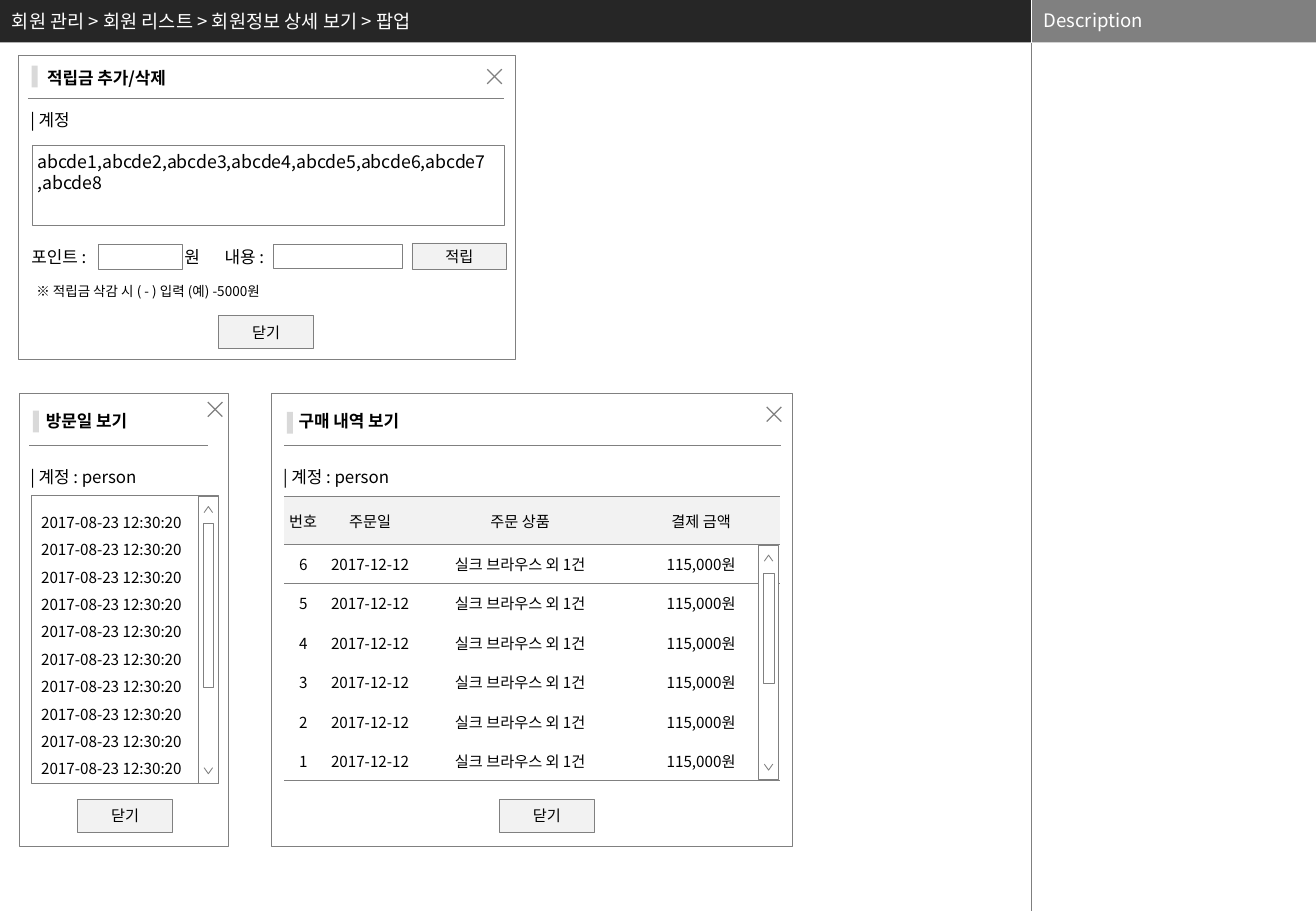
from lxml.etree import SubElement
from pptx import Presentation
from pptx.dml.color import RGBColor
from pptx.enum.shapes import MSO_CONNECTOR, MSO_SHAPE
from pptx.enum.text import MSO_ANCHOR, MSO_AUTO_SIZE, PP_ALIGN
from pptx.oxml.ns import qn
from pptx.util import Inches, Pt

FONT = "Noto Sans CJK KR"
BLACK, WHITE, GRAY, LIGHT, MARK = "000000", "FFFFFF", "808080", "F2F2F2", "D9D9D9"
NO_GRID_STYLE = "{2D5ABB26-0587-4C30-8999-92F81FD0307C}"

BREADCRUMB = "회원 관리 > 회원 리스트 > 회원정보 상세 보기 > 팝업"
SPLIT, HEADER_HEIGHT = 8.49, 0.35

# Each popup: frame, title with its box, title mark, rule, close cross, account label, close button
POPUPS = [
    dict(frame=(2.23, 3.24, 4.29, 3.73), title="구매 내역 보기", title_box=(2.36, 3.33, 1.14, 0.27),
         mark=(2.36, 3.39), rule=(2.34, 6.43, 3.67), cross=(6.31, 3.35),
         account="| 계정 : person", account_box=(2.33, 3.84, 1.15, 0.17), button=(4.11, 6.58)),
    dict(frame=(0.15, 0.46, 4.09, 2.5), title="적립금 추가/삭제", title_box=(0.29, 0.51, 1.29, 0.27),
         mark=(0.26, 0.54), rule=(0.23, 4.15, 0.81), cross=(4.01, 0.57),
         account="| 계정", account_box=(0.25, 0.9, 0.38, 0.17), button=(1.8, 2.6)),
    dict(frame=(0.16, 3.24, 1.72, 3.73), title="방문일 보기", title_box=(0.28, 3.33, 0.95, 0.27),
         mark=(0.27, 3.38), rule=(0.24, 1.71, 3.67), cross=(1.71, 3.31),
         account="| 계정 : person", account_box=(0.25, 3.84, 1.15, 0.17), button=(0.64, 6.58)),
]
ACCOUNTS = ["abcde1,abcde2,abcde3,abcde4,abcde5,abcde6,abcde7", ",abcde8"]
POINT_LABELS = [
    ("포인트 :", (0.16, 1.98, 0.75, 0.27), 10),
    ("내용 :", (1.75, 1.98, 0.61, 0.27), 10),
    ("원", (1.42, 1.98, 0.34, 0.27), 10),
    ("※ 적립금 삭감 시 ( - ) 입력 (예) -5000원", (0.2, 2.28, 2.29, 0.24), 8),
]
POINT_FIELDS = [(0.81, 2.01, 0.69, 0.21), (2.25, 2.01, 1.06, 0.2)]
VISITS = ["2017-08-23 12:30:20"] * 10
ORDER_HEADER = ["번호", "주문일", "주문 상품", "결제 금액"]
ORDERS = [[str(number), "2017-12-12", "실크 브라우스 외 1건", "115,000원"]
          for number in range(6, 0, -1)]
COLUMN_WIDTHS = [0.31, 0.79, 1.68, 1.3]
HEADER_ROW, ORDER_ROW = 0.39, 0.325
# Scroll bars: centre, track top and height, thumb top and height, tops of the two arrows
SCROLL_BARS = [(6.325, (4.49, 1.93), (4.72, 0.91), (4.57, 6.29)),
               (1.715, (4.09, 2.36), (4.31, 1.35), (4.17, 6.32))]


def color(value):
    return RGBColor.from_string(value)


def paint(shape, fill, line, width=0.5):
    shape.shadow.inherit = False
    if fill:
        shape.fill.solid()
        shape.fill.fore_color.rgb = color(fill)
    else:
        shape.fill.background()
    if line:
        shape.line.color.rgb = color(line)
        shape.line.width = Pt(width)
    else:
        shape.line.fill.background()


def write(frame, text, size=10, ink=BLACK, bold=False, align=PP_ALIGN.LEFT,
          anchor=MSO_ANCHOR.TOP, inset=None, wrap=False, grow=False, spacing=None):
    """Fill a text frame with one string or a list of paragraphs."""
    frame.word_wrap = wrap
    frame.vertical_anchor = anchor
    frame.auto_size = MSO_AUTO_SIZE.SHAPE_TO_FIT_TEXT if grow else MSO_AUTO_SIZE.NONE
    if inset is not None:
        frame.margin_left = frame.margin_right = Inches(inset)
        frame.margin_top = frame.margin_bottom = Inches(inset)
    lines = [text] if isinstance(text, str) else text
    for index, line in enumerate(lines):
        paragraph = frame.paragraphs[0] if index == 0 else frame.add_paragraph()
        paragraph.alignment = align
        if spacing:
            paragraph.line_spacing = spacing
        run = paragraph.add_run()
        run.text = line
        style_font(run.font, size, ink, bold)


def style_font(font, size, ink, bold):
    font.size, font.bold, font.name = Pt(size), bold, FONT
    font.color.rgb = color(ink)
    SubElement(font._element, qn("a:ea")).set("typeface", FONT)


def add_box(box, fill=None, line=GRAY, text=None, **style):
    shape = slide.shapes.add_shape(MSO_SHAPE.RECTANGLE, *map(Inches, box))
    paint(shape, fill, line)
    if text:
        write(shape.text_frame, text, **style)


def add_label(box, text, grow=True, **style):
    write(slide.shapes.add_textbox(*map(Inches, box)).text_frame, text, grow=grow, **style)


def add_line(x1, y1, x2, y2, ink=GRAY, width=0.5):
    line = slide.shapes.add_connector(MSO_CONNECTOR.STRAIGHT, *map(Inches, (x1, y1, x2, y2)))
    line.line.color.rgb = color(ink)
    line.line.width = Pt(width)
    SubElement(line._element.spPr, qn("a:effectLst"))


def add_strokes(strokes, fill=None, width=0.5):
    """Draw open polylines as one outline."""
    points = [[(Inches(x), Inches(y)) for x, y in stroke] for stroke in strokes]
    builder = slide.shapes.build_freeform(*points[0][0])
    for index, stroke in enumerate(points):
        if index:
            builder.move_to(*stroke[0])
        builder.add_line_segments(stroke[1:], close=False)
    paint(builder.convert_to_shape(), fill, GRAY, width)


def add_button(box, text):
    add_box(box, LIGHT, text=text, size=9, align=PP_ALIGN.CENTER,
            anchor=MSO_ANCHOR.MIDDLE, inset=0.04)


def add_popup(popup):
    add_box(popup["frame"], WHITE)
    add_label(popup["title_box"], popup["title"], bold=True)
    add_box((*popup["mark"], 0.05, 0.18), MARK, None)
    left, right, y = popup["rule"]
    add_line(left, y, right, y)
    x, y = popup["cross"]
    side = 0.12
    add_strokes([[(x + side, y), (x, y + side)], [(x, y), (x + side, y + side)]], width=0.75)
    add_label(popup["account_box"], popup["account"], inset=0)
    add_button((*popup["button"], 0.78, 0.27), "닫기")


def add_scroll_bar(center, track, thumb, arrows):
    for (top, height), width in ((track, 0.16), (thumb, 0.09)):
        add_box((center - width / 2, top, width, height), WHITE)
    half, rise = 0.035, 0.05
    up, down = arrows
    for base, tip in ((up + rise, up), (down, down + rise)):
        add_strokes([[(center - half, base), (center, tip), (center + half, base)]], WHITE)


def add_border(cell, tag):
    line = SubElement(cell._tc.get_or_add_tcPr(), qn(tag), w=str(Pt(0.5)))
    SubElement(SubElement(line, qn("a:solidFill")), qn("a:srgbClr"), val=GRAY)


def add_orders(left, top):
    rows = [ORDER_HEADER] + ORDERS
    height = HEADER_ROW + ORDER_ROW * len(ORDERS)
    table = slide.shapes.add_table(len(rows), len(ORDER_HEADER), Inches(left), Inches(top),
                                   Inches(sum(COLUMN_WIDTHS)), Inches(height)).table
    table.first_row = table.horz_banding = False
    table._tbl.tblPr.find(qn("a:tableStyleId")).text = NO_GRID_STYLE
    for column, width in zip(table.columns, COLUMN_WIDTHS):
        column.width = Inches(width)
    for row_index, values in enumerate(rows):
        table.rows[row_index].height = Inches(ORDER_ROW if row_index else HEADER_ROW)
        for column_index, value in enumerate(values):
            cell = table.cell(row_index, column_index)
            cell.margin_left = cell.margin_right = cell.margin_top = cell.margin_bottom = 0
            cell.vertical_anchor = MSO_ANCHOR.MIDDLE
            paragraph = cell.text_frame.paragraphs[0]
            paragraph.alignment = PP_ALIGN.CENTER
            run = paragraph.add_run()
            run.text = value
            style_font(run.font, 9, BLACK, False)
            if row_index < 2:
                add_border(cell, "a:lnT")
            if row_index in (0, len(ORDERS)):
                add_border(cell, "a:lnB")
            cell.fill.solid()
            cell.fill.fore_color.rgb = color(WHITE if row_index else LIGHT)


presentation = Presentation()
presentation.slide_width, presentation.slide_height = Inches(10.83), Inches(7.5)
slide = presentation.slides.add_slide(presentation.slide_layouts[6])

add_box((0, 0, SPLIT, HEADER_HEIGHT), "262626", None)
add_box((SPLIT, 0, 2.34, HEADER_HEIGHT), GRAY, None)
add_line(SPLIT, 0, SPLIT, HEADER_HEIGHT, WHITE, 0.25)
add_line(SPLIT, HEADER_HEIGHT, SPLIT, 7.5, "7F7F7F", 0.25)
for heading, box in ((BREADCRUMB, (0, 0, 8.25, HEADER_HEIGHT)),
                     ("Description", (SPLIT, -0.01, 2.34, HEADER_HEIGHT))):
    add_label(box, heading, size=11, ink=WHITE, anchor=MSO_ANCHOR.MIDDLE, wrap=True, grow=False)

for popup in POPUPS:
    add_popup(popup)

add_orders(2.34, 4.09)

for field in POINT_FIELDS:
    add_box(field)
for text, box, size in POINT_LABELS:
    add_label(box, text, size=size)
add_button((3.39, 2, 0.78, 0.22), "적립")
add_box((0.27, 1.2, 3.88, 0.66), WHITE, text=ACCOUNTS, size=10.5, inset=0.04)

add_label((0.24, 4.1, 1.39, 2.37), VISITS, size=9, spacing=1.5)
add_box((0.26, 4.08, 1.54, 2.37))

for scroll_bar in SCROLL_BARS:
    add_scroll_bar(*scroll_bar)

presentation.save("out.pptx")
